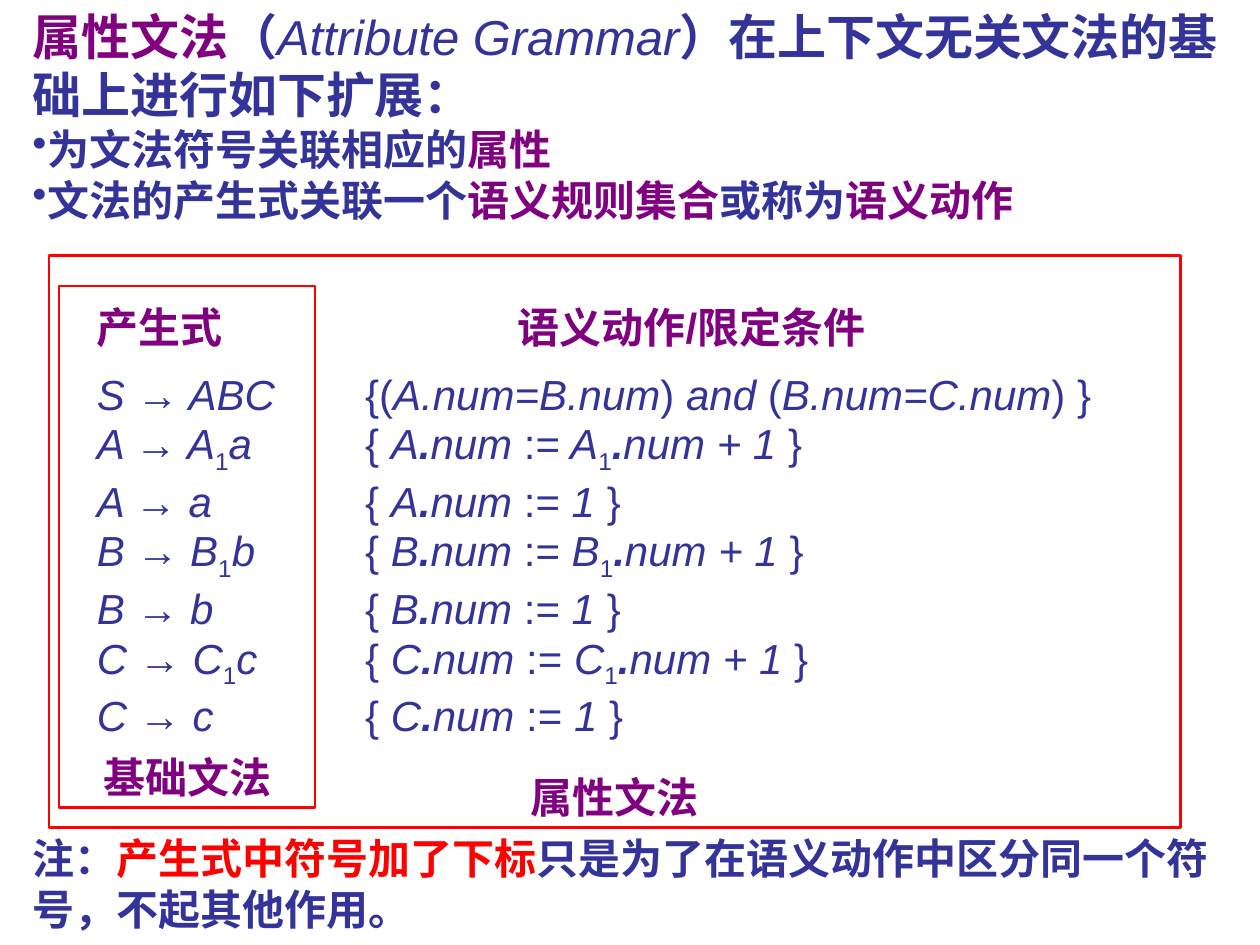
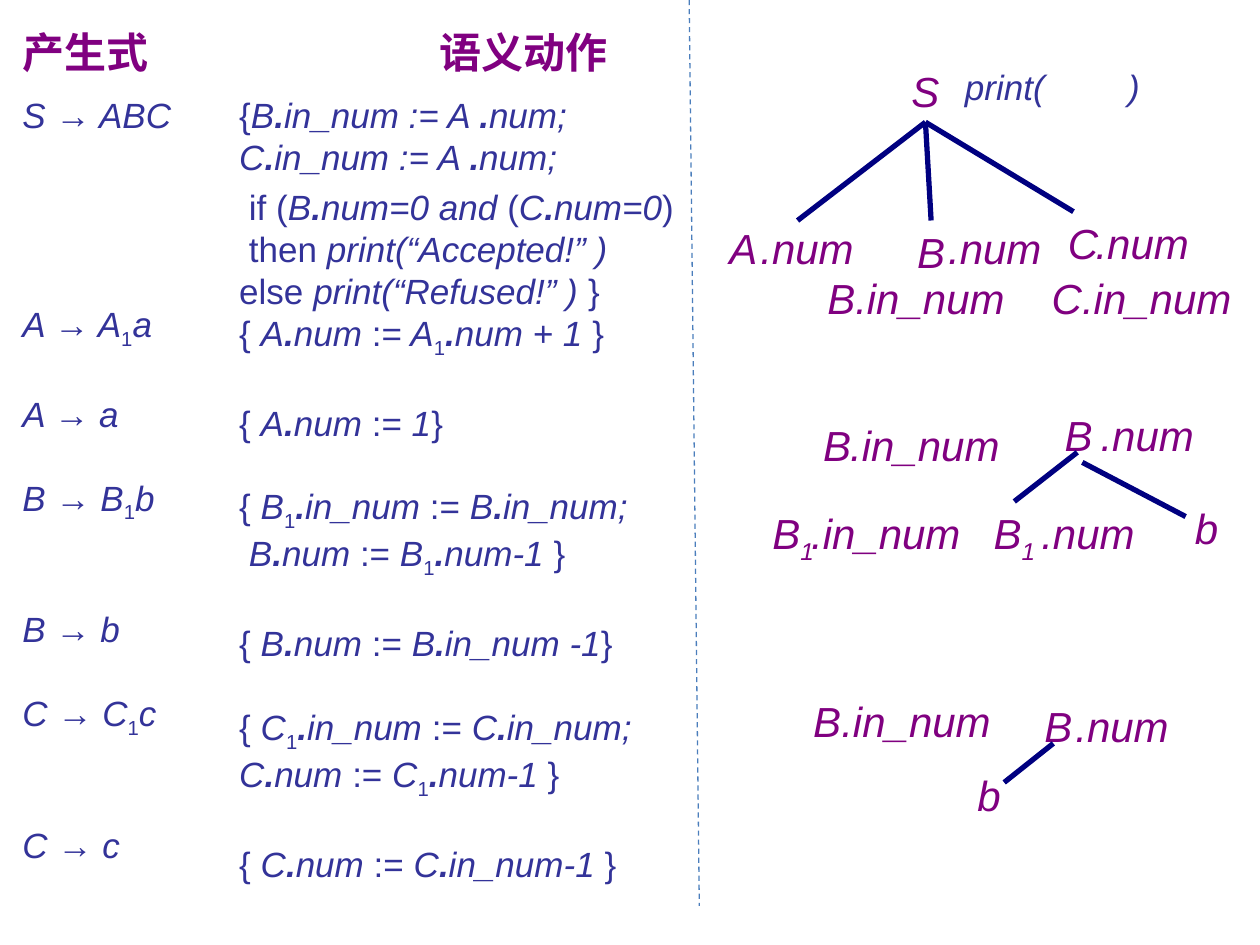
import dataclasses
import typing

import lxml.etree
import pptx
import pptx.dml.color
import pptx.enum.dml
import pptx.enum.shapes
import pptx.enum.text
import pptx.oxml.ns
import pptx.util

Inches = pptx.util.Inches
Pt = pptx.util.Pt
ALIGN = pptx.enum.text.PP_ALIGN
ANCHOR = pptx.enum.text.MSO_ANCHOR


@dataclasses.dataclass(frozen=True)
class Theme:
    font: str = "Arial"
    body: str = "333399"
    accent: str = "800080"
    warning: str = "FF0000"
    branch: str = "000080"
    divider: str = "4B7EBC"
    lead_size: int = 28
    large_size: int = 24
    small_size: int = 20
    line_factor: float = 1.2
    subscript_line_factor: float = 1.35
    heading_gap: float = 9.5


THEME = Theme()


@dataclasses.dataclass(frozen=True)
class Rule:
    markup: str
    blank_lines: float = 0


@dataclasses.dataclass(frozen=True)
class Column:
    heading: str
    left: float
    top: float
    width: float
    height: float
    size: int
    rules: list[Rule]
    heading_indent: float = 0


@dataclasses.dataclass(frozen=True)
class Frame:
    caption: str
    left: float
    top: float
    width: float
    height: float


@dataclasses.dataclass(frozen=True)
class Label:
    text: str
    left: float
    top: float
    width: float
    color: str = THEME.accent
    size: int = THEME.large_size


@dataclasses.dataclass(frozen=True)
class Branch:
    start: tuple[float, float]
    end: tuple[float, float]
    parent: typing.Optional[str] = None
    child: typing.Optional[str] = None


def write_text(paragraph, markup: str, *, size: int, color: str = THEME.body,
               bold: bool = False, italic: bool = False, align=ALIGN.LEFT,
               fixed_lines: bool = True, before: float = 0, after: float = 0,
               indent: float = 0, bullet: str = "") -> None:
    """~ italic, * bold, ^ subscript, # accent colour, @ warning colour."""
    paragraph.alignment = align
    paragraph.space_before = Pt(before)
    paragraph.space_after = Pt(after)
    if fixed_lines:
        factor = THEME.subscript_line_factor if "^" in markup else THEME.line_factor
        paragraph.line_spacing = Pt(size * factor)
    properties = paragraph._p.get_or_add_pPr()
    properties.set("marL", str(Inches(indent)))
    properties.set("indent", "0")
    if bullet:
        mark = lxml.etree.SubElement(properties, pptx.oxml.ns.qn("a:buChar"))
        mark.set("char", bullet)
    state = {"~": italic, "*": bold, "^": False, "#": False, "@": False}
    piece = ""
    for character in markup + "~":
        if character not in state:
            piece += character
            continue
        if piece:
            run = paragraph.add_run()
            run.text = piece
            font = run.font
            font.name, font.size = THEME.font, Pt(size)
            font.bold, font.italic = state["*"], state["~"]
            shade = THEME.accent if state["#"] else THEME.warning if state["@"] else color
            font.color.rgb = pptx.dml.color.RGBColor.from_string(shade)
            if state["^"]:
                font._element.set("baseline", "-25000")
            piece = ""
        state[character] = not state[character]


def add_text_box(slide, left: float, top: float, width: float, height: float):
    box = slide.shapes.add_textbox(Inches(left), Inches(top), Inches(width), Inches(height))
    box.text_frame.word_wrap = True
    return box


def add_column(slide, column: Column) -> None:
    box = add_text_box(slide, column.left, column.top, column.width, column.height)
    write_text(box.text_frame.paragraphs[0], column.heading, size=THEME.large_size,
               color=THEME.accent, bold=True, after=THEME.heading_gap,
               indent=column.heading_indent)
    for rule in column.rules:
        write_text(box.text_frame.add_paragraph(), rule.markup, size=column.size,
                   before=rule.blank_lines * column.size * THEME.line_factor)


def add_frame(slide, frame: Frame) -> None:
    shape = slide.shapes.add_shape(
        pptx.enum.shapes.MSO_SHAPE.RECTANGLE, Inches(frame.left), Inches(frame.top),
        Inches(frame.width), Inches(frame.height))
    shape.shadow.inherit = False
    shape.fill.background()
    shape.line.color.rgb = pptx.dml.color.RGBColor.from_string(THEME.warning)
    shape.line.width = Pt(1.5)
    shape.text_frame.vertical_anchor = ANCHOR.BOTTOM
    write_text(shape.text_frame.paragraphs[0], frame.caption, size=THEME.large_size,
               color=THEME.accent, bold=True, align=ALIGN.CENTER)


def add_label(slide, label: Label):
    box = add_text_box(slide, label.left, label.top, label.width, 0.5)
    write_text(box.text_frame.paragraphs[0], label.text, size=label.size,
               color=label.color, italic=True, align=ALIGN.CENTER, fixed_lines=False)
    return box


def add_line(slide, start: tuple[float, float], end: tuple[float, float],
             color: str, width: float):
    connector = slide.shapes.add_connector(
        pptx.enum.shapes.MSO_CONNECTOR.STRAIGHT,
        *(Inches(value) for value in (*start, *end)))
    connector.line.color.rgb = pptx.dml.color.RGBColor.from_string(color)
    connector.line.width = Pt(width)
    lxml.etree.SubElement(connector._element.spPr, pptx.oxml.ns.qn("a:effectLst"))
    return connector


def add_branch(slide, branch: Branch, boxes: dict) -> None:
    connector = add_line(slide, branch.start, branch.end, THEME.branch, 3)
    if branch.parent:
        connector.begin_connect(boxes[branch.parent], 2)
    if branch.child:
        connector.end_connect(boxes[branch.child], 0)


def recursive_production(symbol: str) -> str:
    return f"~{symbol} ~→~ {symbol}~^1^~{symbol.lower()}"


def base_production(symbol: str) -> str:
    return f"~{symbol} ~→~ {symbol.lower()}"


def counting_action(symbol: str) -> str:
    return f"{{ ~{symbol}*.*num ~:=~ {symbol}~^1^~*.*num + 1~ }}"


def unit_action(symbol: str) -> str:
    return f"{{ ~{symbol}*.*num ~:=~ 1~ }}"


def inherited_action(symbol: str) -> str:
    return f"{{ ~{symbol}~^1^~*.*in_num ~:= ~{symbol}*.*in_num;"


def build_definition_slide(slide) -> None:
    productions = [Rule("~S ~→~ ABC")]
    actions = [Rule("{(~A.num=B.num~) ~and ~(~B.num=C.num~) }")]
    for symbol in "ABC":
        productions += [Rule(recursive_production(symbol)), Rule(base_production(symbol))]
        actions += [Rule(counting_action(symbol)), Rule(unit_action(symbol))]
    add_column(slide, Column("产生式", 0.67, 2.34, 2.05, 3.43, THEME.large_size, productions))
    add_column(slide, Column("语义动作/限定条件", 2.8, 2.34, 6.46, 3.47,
                             THEME.large_size, actions, 1.21))
    for frame in (Frame("基础文法", 0.47, 2.27, 2.03, 4.14),
                  Frame("属性文法", 0.39, 2.03, 8.98, 4.54)):
        add_frame(slide, frame)

    definition = add_text_box(slide, 0.16, 0, 9.63, 1.85).text_frame
    write_text(definition.paragraphs[0],
               "#属性文法#（*~Attribute Grammar~*）在上下文无关文法的基础上进行如下扩展：",
               size=THEME.lead_size, bold=True)
    for extension in ("为文法符号关联相应的#属性#",
                      "文法的产生式关联一个#语义规则集合#或称为#语义动作#"):
        write_text(definition.add_paragraph(), extension, size=THEME.large_size,
                   bold=True, bullet="•")
    note = add_text_box(slide, 0.16, 6.56, 9.84, 0.91).text_frame
    write_text(note.paragraphs[0],
               "注：@产生式中符号加了下标@只是为了在语义动作中区分同一个符号，不起其他作用。",
               size=THEME.large_size, bold=True)


def build_inherited_slide(slide) -> None:
    productions = [Rule("~S ~→~ ABC")]
    for symbol, recursive_gap, base_gap in (("A", 4, 1), ("B", 1, 2), ("C", 1, 2)):
        productions += [Rule(recursive_production(symbol), recursive_gap),
                        Rule(base_production(symbol), base_gap)]
    actions = [
        Rule("{~B*.*in*_*num := A *.*num;"),
        Rule("~C*.*in*_*num := A *.*num;"),
        Rule(" if (~B*.*num=0 and ~(~C*.*num=0~)", 0.2),
        Rule(" then ~print(“Accepted!” )"),
        Rule("else ~print(“Refused!” ) ~}"),
        Rule(counting_action("A")),
        Rule("{ ~A*.*num ~:=~ 1~}", 1),
        Rule(inherited_action("B"), 1),
        Rule("~ B*.*num ~:=~ B~^1^~*.*num-1~ }"),
        Rule("{ ~B*.*num ~:= ~B*.*in_num -1~}", 1),
        Rule(inherited_action("C"), 1),
        Rule("~C*.*num ~:=~ C~^1^~*.*num-1 ~}"),
        Rule("{ ~C*.*num ~:=~ C*.*in_num-1 ~}", 1),
    ]
    add_column(slide, Column("产生式", 0.08, 0.16, 2.05, 6.7, THEME.small_size, productions))
    add_column(slide, Column("语义动作", 1.8, 0.16, 4.45, 6.77,
                             THEME.small_size, actions, 1.59))
    divider = add_line(slide, (5.47, 0), (5.55, 7.19), THEME.divider, 0.75)
    divider.line.dash_style = pptx.enum.dml.MSO_LINE.DASH

    labels = {
        "root": Label("S", 6.64, 0.47, 1.41),
        "print open": Label("print(", 7.45, 0.47, 1.05, THEME.body, THEME.small_size),
        "print close": Label(")", 8.75, 0.47, 0.5, THEME.body, THEME.small_size),
        "A": Label("A", 5.39, 1.72, 1.02),
        "A num": Label(".num", 5.78, 1.72, 1.25),
        "B": Label("B", 6.88, 1.75, 1.02),
        "B num": Label(".num", 7.27, 1.72, 1.25),
        "C": Label("C", 8.36, 1.68, 0.47),
        "C num": Label(".num", 8.44, 1.68, 1.25),
        "B inherited": Label("B.in_num", 6.41, 2.11, 1.72),
        "C inherited": Label("C.in_num", 8.2, 2.11, 1.72),
        "recursive B": Label("B", 8.05, 3.2, 1.02),
        "recursive num": Label(".num", 8.48, 3.2, 1.25),
        "recursive in B": Label("B", 6.41, 3.28, 0.47),
        "recursive in_num": Label(".in_num", 6.48, 3.28, 1.72),
        "B1": Label("B^1^", 7.54, 3.98, 1.02),
        "B1 num": Label(".num", 8.01, 3.98, 1.25),
        "B1 in": Label("B^1^", 6.02, 3.98, 0.55),
        "B1 in_num": Label(".in_num", 6.17, 3.98, 1.72),
        "recursive b": Label("b", 9.34, 3.94, 0.47),
        "base B": Label("B", 7.89, 5.51, 1.02),
        "base num": Label(".num", 8.28, 5.51, 1.25),
        "base in B": Label("B", 6.33, 5.47, 0.47),
        "base in_num": Label(".in_num", 6.41, 5.47, 1.72),
        "base b": Label("b", 7.34, 6.06, 1.02),
    }
    boxes = {name: add_label(slide, label) for name, label in labels.items()}
    root_point = (7.34, 0.97)
    for branch in (
        Branch(root_point, (6.33, 1.75), "root"),
        Branch(root_point, (7.38, 1.75), "root", "B"),
        Branch(root_point, (8.52, 1.68), "root"),
        Branch((8.55, 3.59), (8.05, 3.98), child="B1"),
        Branch((8.59, 3.67), (9.41, 4.1)),
        Branch((8.36, 5.9), (7.97, 6.21)),
    ):
        add_branch(slide, branch, boxes)


def main() -> None:
    presentation = pptx.Presentation()
    presentation.slide_width = Inches(10)
    presentation.slide_height = Inches(7.5)
    blank_layout = presentation.slide_layouts[6]
    for build in (build_definition_slide, build_inherited_slide):
        build(presentation.slides.add_slide(blank_layout))
    presentation.save("out.pptx")


if __name__ == "__main__":
    main()
